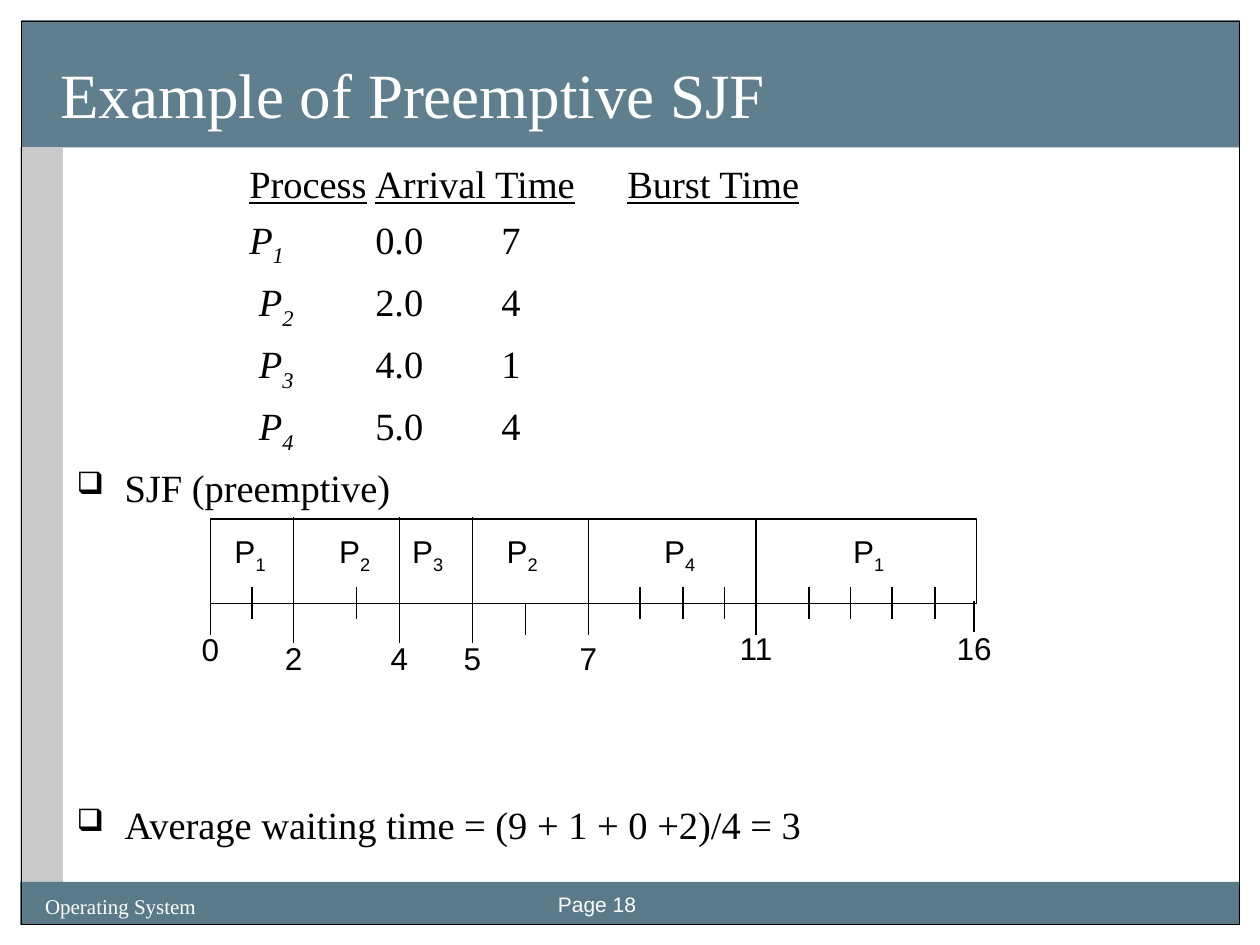
from dataclasses import dataclass

from lxml import etree
from pptx import Presentation
from pptx.dml.color import RGBColor
from pptx.enum.shapes import MSO_CONNECTOR as CONN, MSO_SHAPE as SHAPE
from pptx.enum.text import MSO_ANCHOR as ANCHOR, PP_ALIGN as ALIGN
from pptx.oxml.ns import qn
from pptx.util import Inches, Pt


@dataclass(frozen=True)
class Theme:
    band: str = "3E6376"
    side: str = "C9C9C9"
    black: str = "000000"
    white: str = "FFFFFF"
    serif: str = "Times New Roman"
    sans: str = "Arial"
    title: int = 36
    body: int = 22
    label: int = 18
    footer: int = 12
    line: float = 0.75


T = Theme()
PROCESSES = [("1", "0.0", "7"), ("2", "2.0", "4"), ("3", "4.0", "1"), ("4", "5.0", "4")]
COLUMNS = [1.37, 2.37, 3.37, 4.37]
BAR_TOP, BAR_BOTTOM = 4.12, 4.79
# Process number and left edge of its label
SLICES = [("1", 1.76), ("2", 2.59), ("3", 3.17), ("2", 3.92), ("4", 5.17), ("1", 6.67)]
# Time, x, mark top, mark bottom, label top
TIMES = [
    ("0", 1.67, BAR_BOTTOM, 5.04, 4.95),
    ("2", 2.33, 4.1, 5.1, 5.02),
    ("4", 3.17, 4.1, 5.1, 5.02),
    ("5", 3.75, 4.1, 5.1, 5.02),
    ("7", 4.67, BAR_BOTTOM, 5.04, 5.02),
    ("11", 6, BAR_BOTTOM, 5.04, 4.94),
    ("16", 7.73, 4.77, 5.02, 4.94),
]
DIVIDERS = [4.67, 6]
UNIT_TICKS = [2, 2.83, 5.08, 5.42, 5.75, 6.42, 6.75, 7.08, 7.42]


def rgb(value):
    return RGBColor.from_string(value)


def add_rect(shapes, box, fill=None, alpha=None, outlined=False):
    sp = shapes.add_shape(SHAPE.RECTANGLE, *map(Inches, box))
    sp.shadow.inherit = False
    if fill:
        sp.fill.solid()
        sp.fill.fore_color.rgb = rgb(fill)
    else:
        sp.fill.background()
    if alpha:
        color = sp.fill._xPr.find(qn("a:solidFill"))[0]
        etree.SubElement(color, qn("a:alpha"), val=str(alpha * 1000))
    if outlined:
        sp.line.color.rgb = rgb(T.black)
        sp.line.width = Pt(T.line)
    else:
        sp.line.fill.background()


def add_mark(shapes, x, top, bottom):
    cx = shapes.add_connector(CONN.STRAIGHT, Inches(x), Inches(top), Inches(x), Inches(bottom))
    cx.line.color.rgb = rgb(T.black)
    cx.line.width = Pt(T.line)
    etree.SubElement(cx._element.spPr, qn("a:effectLst"))


def add_box(shapes, box, insets=(0.1, 0.05, 0.1, 0.05), anchor=ANCHOR.TOP, wrap=True):
    tf = shapes.add_textbox(*map(Inches, box)).text_frame
    tf.word_wrap = wrap
    tf.vertical_anchor = anchor
    tf.margin_left, tf.margin_top, tf.margin_right, tf.margin_bottom = map(Inches, insets)
    return tf


def add_run(p, text, size=T.body, font=T.serif, color=T.black, italic=None, underline=None, sub=False):
    r = p.add_run()
    r.text = text
    r.font.size = Pt(size)
    r.font.name = font
    r.font.color.rgb = rgb(color)
    r.font.italic = italic
    r.font.underline = underline
    if sub:
        r.font._element.set("baseline", "-25000")


def add_tabs(p):
    tabs = etree.SubElement(p._p.get_or_add_pPr(), qn("a:tabLst"))
    for x in COLUMNS:
        etree.SubElement(tabs, qn("a:tab"), pos=str(Inches(x)), algn="l")


def add_bullet(p):
    pPr = p._p.get_or_add_pPr()
    pPr.set("marL", str(Inches(0.38)))
    pPr.set("indent", str(-Inches(0.38)))
    color = etree.SubElement(pPr, qn("a:buClr"))
    etree.SubElement(color, qn("a:srgbClr"), val=T.black)
    etree.SubElement(pPr, qn("a:buSzPct"), val="80000")
    etree.SubElement(pPr, qn("a:buChar"), char="❑")


def add_body(shapes):
    tf = add_box(shapes, (0.51, 1.22, 9.25, 5.71))
    # Process list, lined up on tab stops
    p = tf.paragraphs[0]
    add_tabs(p)
    for heading in ("Process", "Arrival Time", "Burst Time"):
        add_run(p, "\t")
        add_run(p, heading, underline=True)
    for number, arrival, burst in PROCESSES:
        p = tf.add_paragraph()
        add_tabs(p)
        p.space_before = Pt(5.5)
        add_run(p, "\t" if number == "1" else "\t ")
        add_run(p, "P", italic=True)
        add_run(p, number, italic=True, sub=True)
        add_run(p, f"\t{arrival}\t{burst}")
    # Bullets above and below the chart
    for text, gap in (("SJF (preemptive)", 5.5),
                      ("Average waiting time = (9 + 1 + 0 +2)/4 = 3", 166)):
        p = tf.add_paragraph()
        add_bullet(p)
        p.space_before = Pt(gap)
        add_run(p, text)


def add_label(shapes, box, text, sub=None):
    p = add_box(shapes, box, anchor=ANCHOR.MIDDLE, wrap=False).paragraphs[0]
    p.alignment = ALIGN.CENTER
    add_run(p, text, size=T.label, font=T.sans)
    if sub:
        add_run(p, sub, size=T.label, font=T.sans, sub=True)


def add_gantt(shapes):
    add_rect(shapes, (1.67, BAR_TOP, 6.08, BAR_BOTTOM - BAR_TOP), T.white, outlined=True)
    for number, left in SLICES:
        add_label(shapes, (left, 4.17, 0.45, 0.44), "P", sub=number)
    for x in DIVIDERS:
        add_mark(shapes, x, BAR_TOP, BAR_BOTTOM)
    for x in UNIT_TICKS:
        add_mark(shapes, x, 4.66, 4.91)
    add_mark(shapes, 4.17, BAR_BOTTOM, 5.04)
    for time, x, top, bottom, label_top in TIMES:
        add_mark(shapes, x, top, bottom)
        width = 0.2 + 0.14 * len(time)
        add_label(shapes, (x - width / 2, label_top, width, 0.4), time)


def main():
    prs = Presentation()
    prs.slide_width, prs.slide_height = Inches(10), Inches(7.5)
    s = prs.slides.add_slide(prs.slide_layouts[6])

    # Frame and bands
    add_rect(s.shapes, (0.17, 0.16, 9.67, 1.01), T.band, alpha=82)
    add_rect(s.shapes, (0.16, 1.17, 0.34, 5.83), T.side)
    add_rect(s.shapes, (0.16, 7, 9.68, 0.34), T.band, alpha=85)
    add_rect(s.shapes, (0.17, 0.17, 9.67, 7.17), outlined=True)

    # Title and body
    tf = add_box(s.shapes, (0.18, 0.17, 9.67, 1), (0.3, 0.05, 0.1, 0.13), ANCHOR.BOTTOM)
    add_run(tf.paragraphs[0], "Example of Preemptive SJF", size=T.title, color=T.white)
    add_body(s.shapes)

    # Gantt chart
    add_gantt(s.shapes.add_group_shape().shapes)

    # Footer
    for text, box, font in (("Operating System", (0.26, 7.04, 1.67, 0.27), T.serif),
                            ("Page 18", (4.33, 7.03, 1.5, 0.27), T.sans)):
        p = add_box(s.shapes, box).paragraphs[0]
        add_run(p, text, size=T.footer, font=font, color=T.white)

    prs.save("out.pptx")


if __name__ == "__main__":
    main()
